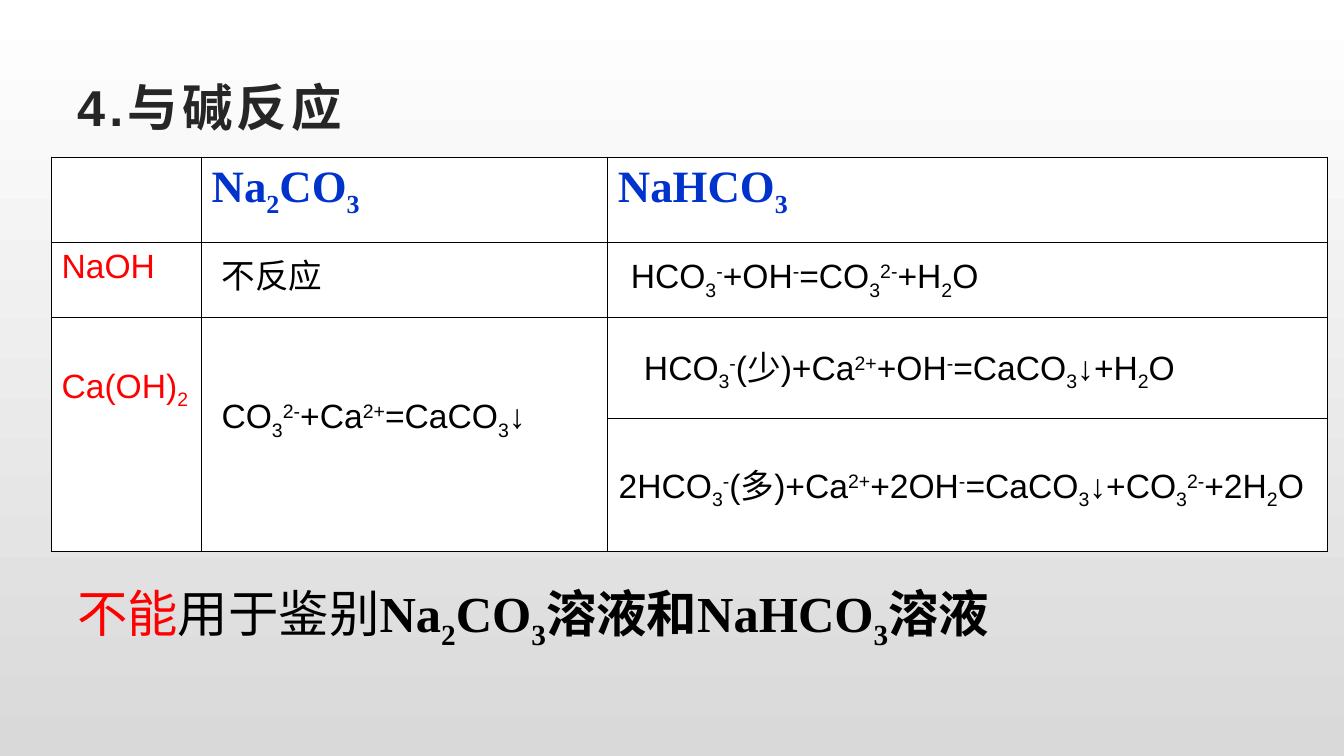
"""Build a slide comparing how two sodium salts react with bases."""
from lxml.etree import fromstring
from pptx import Presentation
from pptx.dml.color import RGBColor
from pptx.enum.text import MSO_ANCHOR
from pptx.util import Inches, Pt

BLACK = RGBColor(0, 0, 0)
WHITE = RGBColor(255, 255, 255)
GREY = RGBColor(0xD9, 0xD9, 0xD9)
DARK = RGBColor(0x26, 0x26, 0x26)
RED = RGBColor(255, 0, 0)
BLUE = RGBColor(0, 0x33, 0xCC)
NS = "http://schemas.openxmlformats.org/drawingml/2006/main"
SHIFT = {"_": "-25000", "^": "30000"}

TITLE = {"size": Pt(36), "name": "Arial", "bold": True}
HEAD = {"size": Pt(32), "name": "Times New Roman", "bold": True}
BODY = {"size": Pt(24), "name": "Arial", "bold": False}
NOTE = {"size": Pt(36), "name": "Arial", "bold": False}
SALT = {"size": Pt(36), "name": "Times New Roman", "bold": True}

deck = Presentation()
deck.slide_width, deck.slide_height = Inches(13.33), Inches(7.5)
COL, ROW = deck.slide_width / 100, deck.slide_height / 100
slide = deck.slides.add_slide(deck.slide_layouts[6])

back = slide.background.fill
back.gradient()
back.gradient_angle = 270
for stop, tone, place in zip(back.gradient_stops, (WHITE, GREY), (0, 1)):
    stop.color.rgb = tone
    stop.position = place


def write(para, text, look, color):
    """Add runs split at bars; a leading _ lowers a run and ^ raises it."""
    for part in text.split("|"):
        run = para.add_run()
        run.text = part.lstrip("_^")
        for key, value in look.items():
            setattr(run.font, key, value)
        run.font.color.rgb = color
        if part[0] in SHIFT:
            run._r.get_or_add_rPr().set("baseline", SHIFT[part[0]])


def box(left, top, wide, high):
    """Add a wrapping text box placed in grid columns and rows."""
    spot = slide.shapes.add_textbox(
        int(left * COL), int(top * ROW), int(wide * COL), int(high * ROW))
    spot.text_frame.word_wrap = True
    return spot.text_frame


frame = box(5, 8.93, 90, 10.27)
frame.vertical_anchor = MSO_ANCHOR.MIDDLE
write(frame.paragraphs[0], "4.与碱反应", TITLE, DARK)
frame.paragraphs[0].runs[0]._r.get_or_add_rPr().set("spc", "300")

WIDE = (11.17, 30.23, 53.55)
HIGH = (11.33, 9.87, 13.33, 17.6)
table = slide.shapes.add_table(
    len(HIGH), len(WIDE), int(3.83 * COL), int(20.8 * ROW),
    int(sum(WIDE) * COL), int(sum(HIGH) * ROW)).table
for line, wide in zip(table.columns, WIDE):
    line.width = int(wide * COL)
for line, high in zip(table.rows, HIGH):
    line.height = int(high * ROW)
for cell in table.iter_cells():
    cell.fill.solid()
    cell.fill.fore_color.rgb = WHITE
    for spot, side in enumerate("LRTB"):
        cell._tc.get_or_add_tcPr().insert(spot, fromstring(
            f'<a:ln{side} xmlns:a="{NS}" w="12700"><a:solidFill>'
            f'<a:srgbClr val="{BLACK}"/></a:solidFill></a:ln{side}>'))
for col in (0, 1):
    table.cell(2, col).merge(table.cell(3, col))
table.cell(2, 0).margin_top = int(6.67 * ROW)

for row, col, text, look, color in (
        (0, 1, "Na|_2|CO|_3", HEAD, BLUE),
        (0, 2, "NaHCO|_3", HEAD, BLUE),
        (1, 0, "NaOH", BODY, RED),
        (2, 0, "Ca(OH)|_2", BODY, RED)):
    write(table.cell(row, col).text_frame.paragraphs[0], text, look, color)

for left, top, wide, high, text in (
        (15.75, 33.07, 18.6, 6.67, "不反应"),
        (46.2, 33.07, 28.13, 12.13, "HCO|_3|^-|+OH|^-|=CO|_3|^2-|+H|_2|O"),
        (15.75, 51.6, 29.4, 6.67, "CO|_3|^2-|+Ca|^2+|=CaCO|_3|↓"),
        (47.18, 45.2, 52.82, 12.13,
         "HCO|_3|^-|(少)+Ca|^2+|+OH|^-|=CaCO|_3|↓+H|_2|O"),
        (45.3, 60.8, 54.7, 12.13,
         "2HCO|_3|^-|(多)+Ca|^2+|+2OH|^-|=CaCO|_3|↓+CO|_3|^2-|+2H|_2|O")):
    write(box(left, top, wide, high).paragraphs[0], text, BODY, BLACK)

para = box(5, 76.4, 80.5, 19.87).paragraphs[0]
for text, look, color in (
        ("不能", NOTE, RED),
        ("用于鉴别", NOTE, BLACK),
        ("Na|_2|CO|_3|溶液和NaHCO|_3|溶液", SALT, BLACK)):
    write(para, text, look, color)

deck.save("out.pptx")
